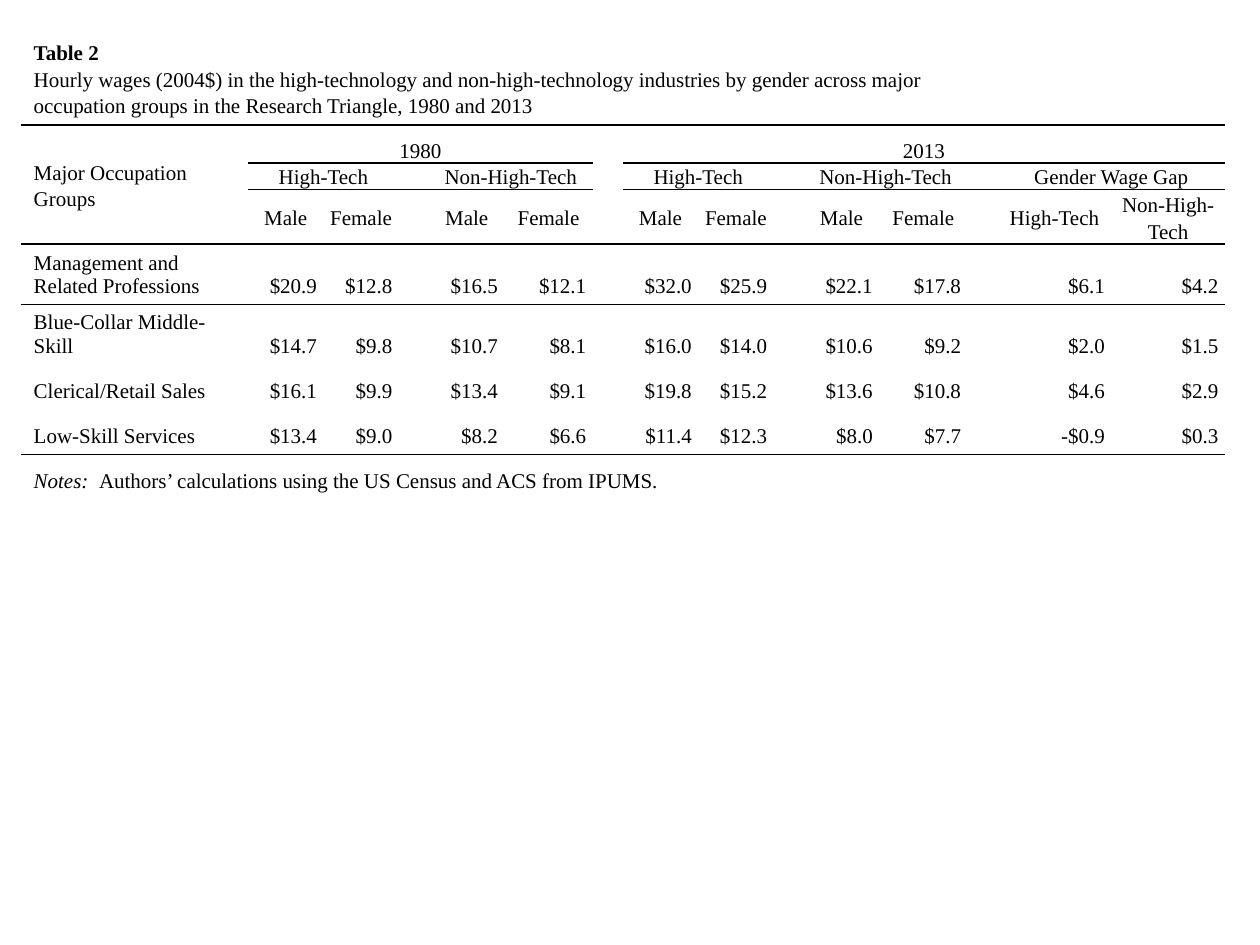
"""Build a slide with a table of hourly wages by industry, gender and occupation."""
from lxml import etree
from pptx import Presentation
from pptx.dml.color import RGBColor
from pptx.enum.text import MSO_ANCHOR, PP_ALIGN
from pptx.oxml import ns
from pptx.util import Cm, Pt

BLACK = "000000"
NO_STYLE = "{2D5ABB26-0587-4C30-8999-92F81FD0307C}"


def put(cell, value, align, anchor, inset_x, inset_y, spacing=1.0):
    cell.text_frame.text = value
    cell.vertical_anchor = anchor
    cell.margin_left = cell.margin_right = Cm(inset_x)
    cell.margin_top = cell.margin_bottom = Cm(inset_y)
    for p in cell.text_frame.paragraphs:
        p.alignment = align
        p.line_spacing = spacing
        for r in p.runs:
            r.font.name = "Times New Roman"
            r.font.size = Pt(12)
            r.font.color.rgb = RGBColor.from_string(BLACK)


def rule(row, columns, width):
    for side, line_row in (("a:lnB", row), ("a:lnT", row + 1)):
        for column in columns:
            tc_pr = table.cell(line_row, column)._tc.get_or_add_tcPr()
            ln = etree.SubElement(tc_pr, ns.qn(side), w=str(Pt(width)))
            fill = etree.SubElement(ln, ns.qn("a:solidFill"))
            etree.SubElement(fill, ns.qn("a:srgbClr"), val=BLACK)


prs = Presentation()
prs.slide_width, prs.slide_height = Cm(25.4), Cm(19.05)
s = prs.slides.add_slide(prs.slide_layouts[6])

widths = [4.57, 1.52, 1.52, 0.59, 1.52, 1.78, 0.59, 1.52, 1.52, 0.59, 1.52, 1.78, 0.59, 2.29, 2.29]
heights = [1.86, 0.76, 0.53, 1.1, 1.22, 1.19, 0.91, 0.91, 0.91]
frame = s.shapes.add_table(len(heights), len(widths), Cm(0.43), Cm(0.64), Cm(sum(widths)), Cm(sum(heights)))
table = frame.table
table.first_row = table.horz_banding = False
table._tbl.tblPr.find(ns.qn("a:tableStyleId")).text = NO_STYLE
for column, width in zip(table.columns, widths):
    column.width = Cm(width)
for row, height in zip(table.rows, heights):
    row.height = Cm(height)

pairs = [1, 4, 7, 10, 13]
every = range(len(widths))
rule(0, every, 1.5)
rule(1, [c for c in every if c not in (0, 6)], 1)
rule(2, [c for start in pairs for c in (start, start + 1)], 1)
rule(3, every, 1)
rule(7, every, 1)

for cell in table.iter_cells():
    cell.fill.background()
    cell.margin_top = cell.margin_bottom = 0
    etree.SubElement(cell.text_frame.paragraphs[0]._p, ns.qn("a:endParaRPr"), sz="800")

for top, left, bottom, right in [(0, 0, 0, 12), (1, 0, 3, 0), (1, 1, 1, 5), (1, 6, 3, 6), (1, 7, 1, 14), (8, 0, 8, 14)]:
    table.cell(top, left).merge(table.cell(bottom, right))
for start in pairs:
    table.cell(2, start).merge(table.cell(2, start + 1))

left, center, right = PP_ALIGN.LEFT, PP_ALIGN.CENTER, PP_ALIGN.RIGHT
middle, bottom = MSO_ANCHOR.MIDDLE, MSO_ANCHOR.BOTTOM

title = table.cell(0, 0)
put(title, "Table 2\nHourly wages (2004$) in the high-technology and non-high-technology industries by gender "
    "across major occupation groups in the Research Triangle, 1980 and 2013", left, middle, 0.25, 0.13, 1.15)
title.text_frame.paragraphs[0].runs[0].font.bold = True
put(table.cell(1, 0), "Major Occupation Groups", left, middle, 0.25, 0.13, 1.15)

for column, year in ((1, "1980"), (7, "2013")):
    put(table.cell(1, column), year, center, bottom, 0.2, 0, 1.15)
industries = ["High-Tech", "Non-High-Tech"]
for start, group in zip(pairs, industries * 2 + ["Gender Wage Gap"]):
    put(table.cell(2, start), group, center, bottom, 0.2, 0, 1.15)
    gap = start == pairs[-1]
    for i, label in enumerate(industries if gap else ["Male", "Female"]):
        put(table.cell(3, start + i), label, center, middle, 0.2 if gap else 0.13, 0 if gap else 0.13, 1.15)

wages = {
    "Management and Related Professions": "$20.9 $12.8 $16.5 $12.1 $32.0 $25.9 $22.1 $17.8 $6.1 $4.2",
    "Blue-Collar Middle-Skill": "$14.7 $9.8 $10.7 $8.1 $16.0 $14.0 $10.6 $9.2 $2.0 $1.5",
    "Clerical/Retail Sales": "$16.1 $9.9 $13.4 $9.1 $19.8 $15.2 $13.6 $10.8 $4.6 $2.9",
    "Low-Skill Services": "$13.4 $9.0 $8.2 $6.6 $11.4 $12.3 $8.0 $7.7 -$0.9 $0.3",
}
for row, (occupation, values) in enumerate(wages.items(), 4):
    put(table.cell(row, 0), occupation, left, bottom, 0.25, 0.13)
    for i, value in enumerate(values.split()):
        put(table.cell(row, pairs[i // 2] + i % 2), value, right, bottom, 0.13, 0.13)

notes = table.cell(8, 0)
notes.text_frame.paragraphs[0].add_run()
put(notes, "Notes:  ", left, bottom, 0.25, 0.13)
p = notes.text_frame.paragraphs[0]
p.runs[0].font.italic = True
r = p.add_run()
r.text = "Authors’ calculations using the US Census and ACS from IPUMS."
r.font.name, r.font.size = "Times New Roman", Pt(12)
r.font.color.rgb = RGBColor.from_string(BLACK)

prs.save("out.pptx")
